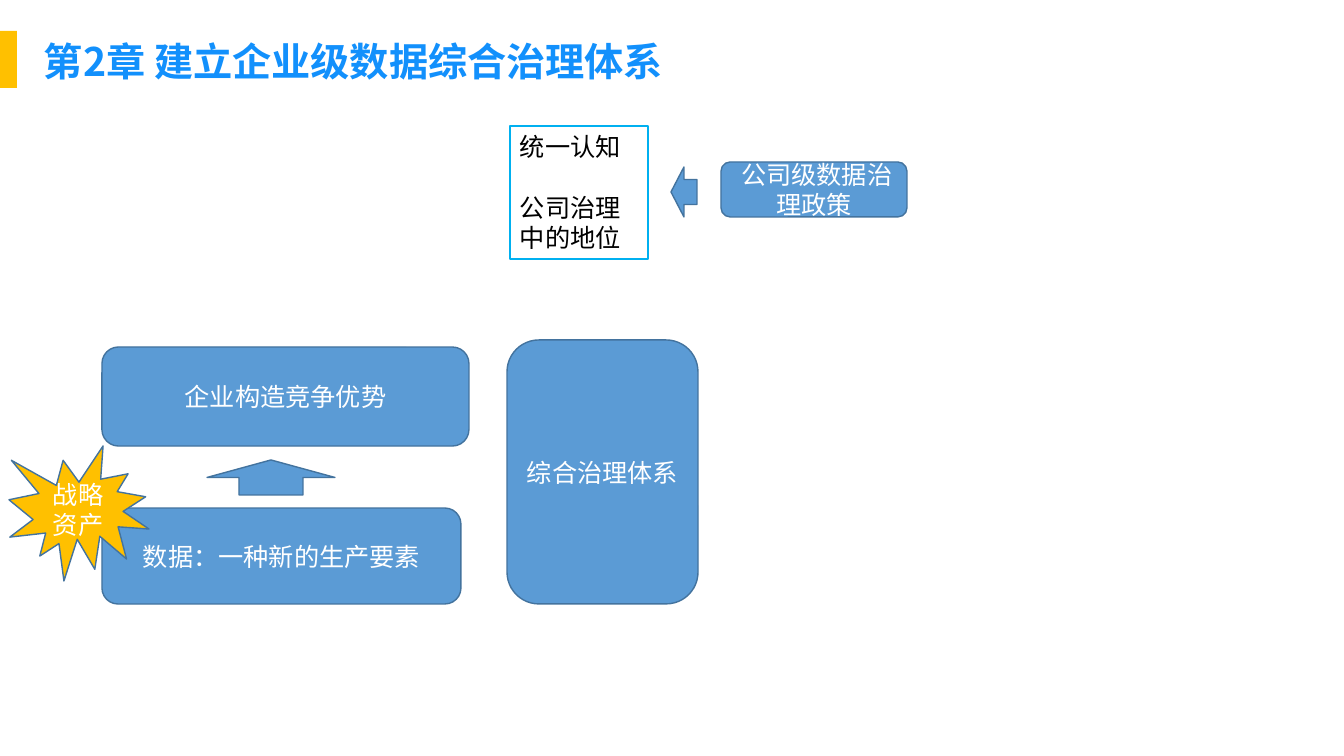
from dataclasses import dataclass
from typing import Any, Optional

from lxml import etree
from pptx import Presentation
from pptx.dml.color import RGBColor
from pptx.enum.shapes import MSO_SHAPE
from pptx.enum.text import MSO_ANCHOR, MSO_AUTO_SIZE, PP_ALIGN
from pptx.oxml.ns import qn
from pptx.util import Emu, Pt

RECT = MSO_SHAPE.RECTANGLE
ROUNDED = MSO_SHAPE.ROUNDED_RECTANGLE
UP_ARROW = MSO_SHAPE.UP_ARROW
LEFT_ARROW = MSO_SHAPE.LEFT_ARROW
BURST = MSO_SHAPE.EXPLOSION1
TOP, MIDDLE = MSO_ANCHOR.TOP, MSO_ANCHOR.MIDDLE
LEFT, CENTER = PP_ALIGN.LEFT, PP_ALIGN.CENTER
GROW, FIXED = MSO_AUTO_SIZE.SHAPE_TO_FIT_TEXT, MSO_AUTO_SIZE.NONE

AMBER = RGBColor(0xFF, 0xC0, 0x00)
BLUE = RGBColor(0x5B, 0x9B, 0xD5)
DARK_BLUE = RGBColor(0x43, 0x73, 0x9E)
SKY = RGBColor(0x00, 0xB0, 0xF0)
TITLE_BLUE = RGBColor(0x12, 0x90, 0xFC)
WHITE = RGBColor(0xFF, 0xFF, 0xFF)
BLACK = RGBColor(0x00, 0x00, 0x00)

CJK_FONT = "Noto Sans CJK SC"
LATIN_FONT = "Calibri"
EMU_PER_PX = 914400 / 100.8
PARAGRAPH_GAP = Pt(22)

TITLE_FONT = {"name": CJK_FONT, "size": Pt(28), "bold": True}
BODY_FONT = {"name": CJK_FONT, "size": Pt(18), "bold": False}
BURST_FONT = {**BODY_FONT, "name": LATIN_FONT}
CENTERED = {"word_wrap": True, "auto_size": FIXED, "vertical_anchor": MIDDLE}
GROWING = {"word_wrap": True, "auto_size": GROW, "vertical_anchor": TOP}


@dataclass(frozen=True)
class Block:
    """A preset shape, placed in pixels, with its paragraphs."""

    preset: Any
    box: tuple[int, int, int, int]
    paragraphs: tuple[str, ...] = ()
    fill: Optional[RGBColor] = BLUE
    outline: Optional[RGBColor] = DARK_BLUE
    outline_width: float = 1


def px(pixels: int) -> Emu:
    """Turn pixels into EMU."""
    return Emu(round(pixels * EMU_PER_PX))


def apply_format(target: Any, values: dict[str, Any]) -> None:
    """Set every format value on the target."""
    for attribute, value in values.items():
        setattr(target, attribute, value)


def write_text(frame: Any, paragraphs: tuple[str, ...], color: RGBColor,
               font: dict[str, Any], layout: dict[str, Any], align: Any) -> None:
    """Write the paragraphs into a text frame, set apart by a gap."""
    apply_format(frame, layout)
    for index, wording in enumerate(paragraphs):
        paragraph = frame.add_paragraph() if index else frame.paragraphs[0]
        paragraph.alignment = align
        if index:
            paragraph.space_before = PARAGRAPH_GAP
        run = paragraph.add_run()
        run.text = wording
        apply_format(run.font, font)
        run.font.color.rgb = color
        east_asian = etree.SubElement(run.font._element, qn("a:ea"))
        east_asian.set("typeface", CJK_FONT)


def draw_block(slide: Any, block: Block) -> Any:
    """Draw the shape of a block without a shadow."""
    shape = slide.shapes.add_shape(block.preset, *map(px, block.box))
    shape.shadow.inherit = False
    if block.fill is None:
        shape.fill.background()
    else:
        shape.fill.solid()
        shape.fill.fore_color.rgb = block.fill
    if block.outline is None:
        shape.line.fill.background()
    else:
        shape.line.color.rgb = block.outline
        shape.line.width = Pt(block.outline_width)
    return shape


ACCENT_BAR = Block(RECT, (0, 31, 17, 57), fill=AMBER, outline=None)
DIAGRAM = (
    Block(ROUNDED, (102, 508, 359, 96), ("数据：一种新的生产要素",)),
    Block(UP_ARROW, (207, 460, 128, 35)),
    Block(ROUNDED, (102, 347, 367, 99), ("企业构造竞争优势",)),
    Block(BURST, (9, 446, 140, 135), ("战略资产",), fill=AMBER),
    Block(ROUNDED, (507, 340, 191, 264), ("综合治理体系",)),
    Block(ROUNDED, (721, 162, 186, 55), (" 公司级数据治理政策",)),
    Block(LEFT_ARROW, (671, 167, 26, 50)),
)
POSITIONING = Block(RECT, (510, 126, 138, 133), ("统一认知", "公司治理中的地位"),
                    fill=None, outline=SKY, outline_width=1.5)

deck = Presentation()
deck.slide_width, deck.slide_height = px(1344), px(756)
slide = deck.slides.add_slide(deck.slide_layouts[6])

draw_block(slide, ACCENT_BAR)
title = slide.shapes.add_textbox(*map(px, (34, 32, 1059, 57)))
write_text(title.text_frame, ("第2章 建立企业级数据综合治理体系",),
           TITLE_BLUE, TITLE_FONT, GROWING, LEFT)

for block in DIAGRAM:
    shape = draw_block(slide, block)
    font = BURST_FONT if block.preset == BURST else BODY_FONT
    write_text(shape.text_frame, block.paragraphs, WHITE, font, CENTERED, CENTER)

positioning = draw_block(slide, POSITIONING)
write_text(positioning.text_frame, POSITIONING.paragraphs, BLACK, BODY_FONT, GROWING, LEFT)

deck.save("out.pptx")
